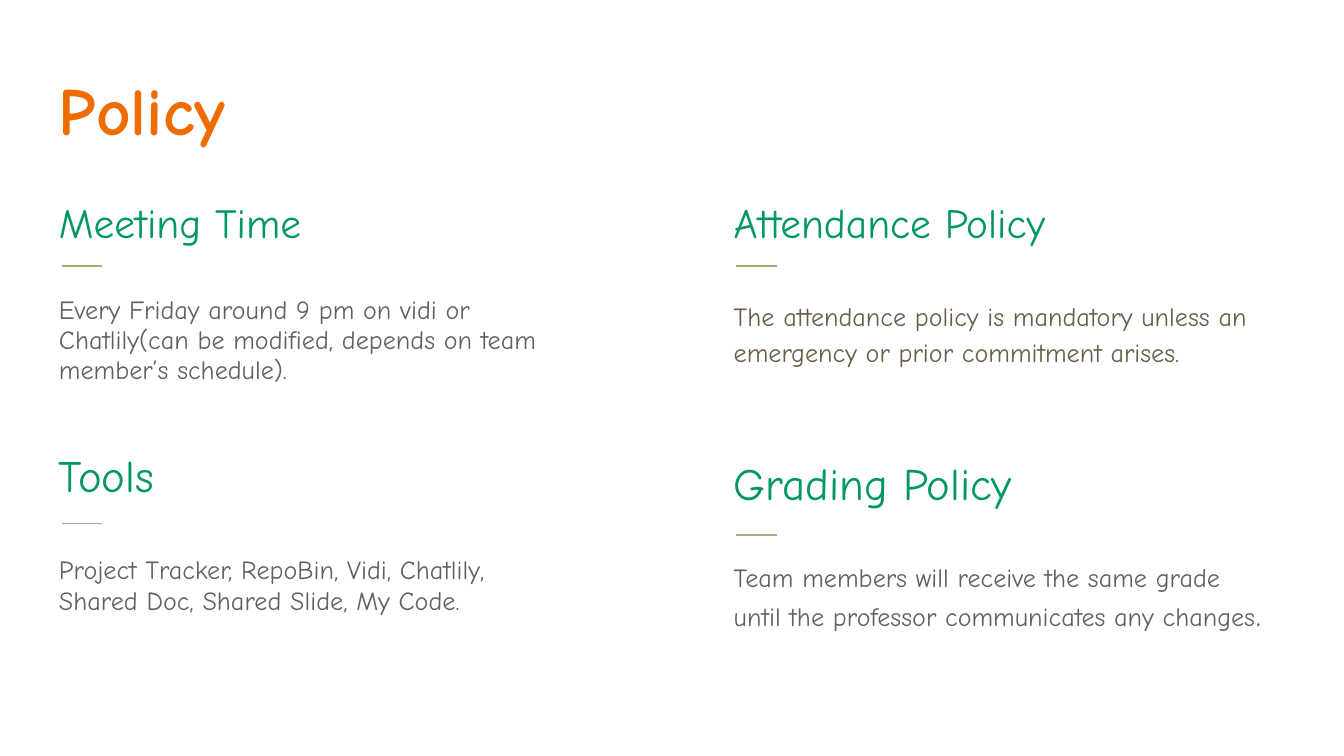
from dataclasses import dataclass

import pptx
import pptx.dml.color
import pptx.enum.shapes
import pptx.oxml.ns
import pptx.util
from lxml import etree

Pt = pptx.util.Pt

FONT = "Comic Neue"
ORANGE, GREEN, GOLD = "EF6C00", "009668", "B3A77D"
GRAY, BROWN = "616161", "695D46"
INSET = 7.2
LEFT, RIGHT = 24.5, 386
COLUMN_WIDTH = 303


@dataclass
class Line:
    """One paragraph of text and its formatting."""
    text: str
    size: float
    color: str
    bold: bool = False
    spacing: float = 1.0
    before: float = 0
    stop_size: float = 0  # size of the closing full stop, if it differs


@dataclass
class Block:
    """A text box holding one or more paragraphs."""
    left: float
    top: float
    width: float
    height: float
    lines: list[Line]


@dataclass
class Rule:
    """A short line under a section heading."""
    left: float
    top: float
    width: float = 21.5


def rgb(value: str) -> pptx.dml.color.RGBColor:
    return pptx.dml.color.RGBColor.from_string(value)


def draw_block(page, block: Block) -> None:
    box = page.shapes.add_textbox(
        Pt(block.left), Pt(block.top), Pt(block.width), Pt(block.height))
    frame = box.text_frame
    frame.word_wrap = True
    frame.margin_left = frame.margin_right = Pt(INSET)
    frame.margin_top = frame.margin_bottom = Pt(INSET)
    frame.text = "\n".join(line.text for line in block.lines)
    for para, line in zip(frame.paragraphs, block.lines):
        para.line_spacing = line.spacing
        para.space_before = Pt(line.before)
        if line.stop_size:
            para.runs[0].text = line.text[:-1]
            para.add_run().text = line.text[-1]
        for span in para.runs:
            span.font.name = FONT
            span.font.size = Pt(line.size)
            span.font.bold = line.bold
            span.font.color.rgb = rgb(line.color)
        if line.stop_size:
            para.runs[-1].font.size = Pt(line.stop_size)


def draw_rule(page, rule: Rule) -> None:
    connector = page.shapes.add_connector(
        pptx.enum.shapes.MSO_CONNECTOR.STRAIGHT,
        Pt(rule.left), Pt(rule.top), Pt(rule.left + rule.width), Pt(rule.top))
    connector.line.color.rgb = rgb(GOLD)
    connector.line.width = Pt(0.75)
    etree.SubElement(connector._element.spPr, pptx.oxml.ns.qn("a:effectLst"))


def upper_heading(left: float, text: str) -> Block:
    return Block(left, 94.3, COLUMN_WIDTH, 41, [Line(text, 22.2, GREEN, spacing=1.15)])


def lower_section(left: float, top: float, width: float, height: float,
                  heading: str, body: str, stop_size: float = 0) -> Block:
    return Block(left, top, width, height, [
        Line(heading, 24, GREEN),
        Line(body, 14, GRAY, before=28, stop_size=stop_size)])


BLOCKS = [
    # Title
    Block(LEFT, 29.5, 671, 57.6, [Line("Policy", 36, ORANGE, bold=True)]),
    # Upper row
    upper_heading(LEFT, "Meeting Time"),
    Block(LEFT, 151.2, COLUMN_WIDTH, 73.4, [Line(
        "Every Friday around 9 pm on vidi or Chatlily(can be modified, "
        "depends on team member’s schedule).", 14, GRAY, spacing=0.95)]),
    upper_heading(RIGHT, "Attendance Policy"),
    Block(RIGHT, 151.2, COLUMN_WIDTH, 77.8, [Line(
        "The attendance policy is mandatory unless an emergency or prior "
        "commitment arises.", 14, BROWN, spacing=1.15)]),
    # Lower row
    lower_section(LEFT, 232.5, 262, 145.4, "Tools",
                  "Project Tracker, RepoBin, Vidi, Chatlily, "
                  "Shared Doc, Shared Slide, My Code."),
    lower_section(RIGHT, 237, COLUMN_WIDTH, 128, "Grading Policy",
                  "Team members will receive the same grade until the professor "
                  "communicates any changes.", stop_size=18),
]

RULES = [
    Rule(left + 8.5, top)
    for left, tops in ((LEFT, (142.6, 280.6)), (RIGHT, (142.6, 286.6)))
    for top in tops
]


def main() -> None:
    deck = pptx.Presentation()
    deck.slide_width, deck.slide_height = Pt(720), Pt(405)
    page = deck.slides.add_slide(deck.slide_layouts[6])
    for block in BLOCKS:
        draw_block(page, block)
    for rule in RULES:
        draw_rule(page, rule)
    deck.save("out.pptx")


if __name__ == "__main__":
    main()
